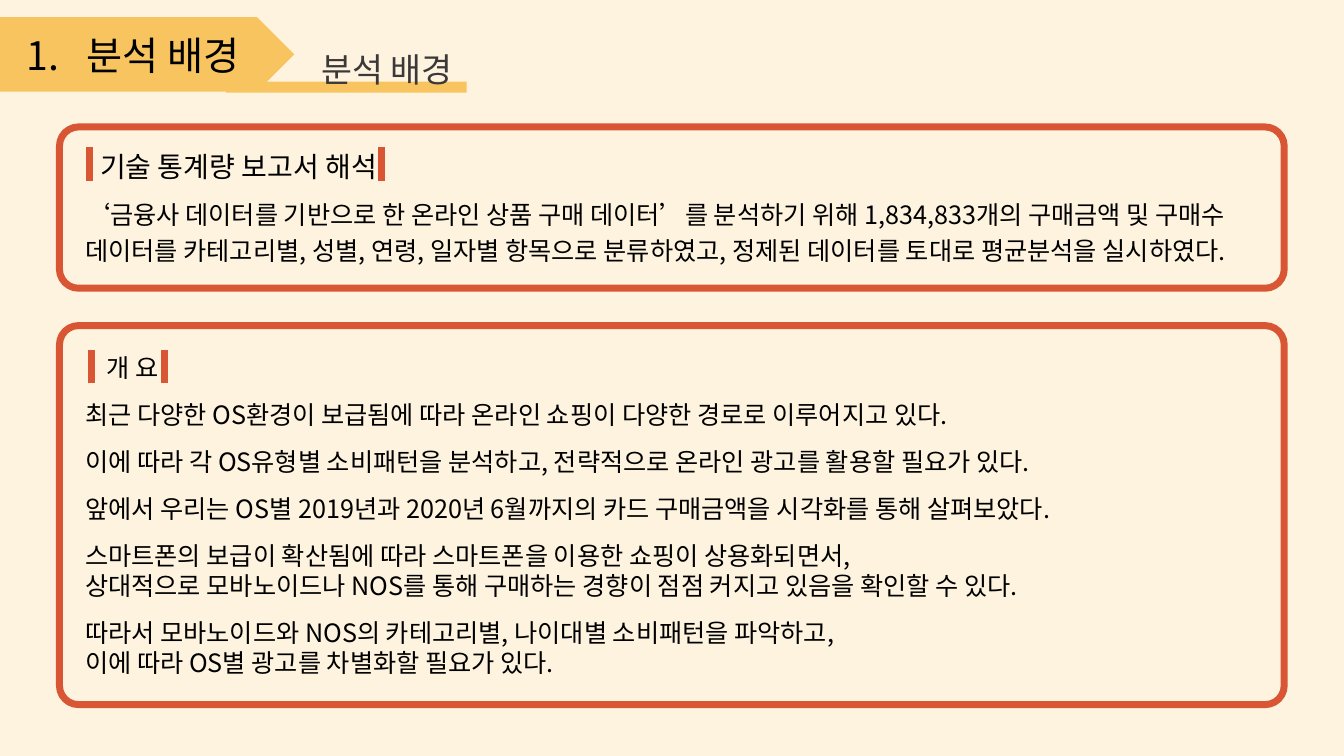
import pptx
import pptx.dml.color
import pptx.enum.shapes
import pptx.enum.text
import pptx.oxml.ns
import pptx.util
from lxml import etree

Pt = pptx.util.Pt
SHAPES = pptx.enum.shapes.MSO_SHAPE
ANCHORS = pptx.enum.text.MSO_ANCHOR
FONT = "Noto Sans CJK KR"
CREAM, YELLOW, RED, BLACK, GRAY = "FDF3DF", "F7C45F", "D85633", "000000", "3B3838"
FRAME_LINE = 5
FRAME_RADIUS = 13.6
TICK_HEIGHT = 24


def color(code):
    return pptx.dml.color.RGBColor.from_string(code)


def apply(target, values):
    for name, value in values.items():
        setattr(target, name, value)


def add_box(page, kind, left, top, width, height, fill=None, line=None):
    box = page.shapes.add_shape(kind, Pt(left), Pt(top), Pt(width), Pt(height))
    box.shadow.inherit = False
    if fill:
        box.fill.solid()
        box.fill.fore_color.rgb = color(fill)
    else:
        box.fill.background()
    if line:
        box.line.color.rgb = color(line)
        box.line.width = Pt(FRAME_LINE)
    else:
        box.line.fill.background()
    return box


def add_tick(page, x, top):
    tick = page.shapes.add_connector(
        pptx.enum.shapes.MSO_CONNECTOR.STRAIGHT, Pt(x), Pt(top + TICK_HEIGHT), Pt(x), Pt(top))
    tick.line.color.rgb = color(RED)
    tick.line.width = Pt(FRAME_LINE)
    etree.SubElement(tick._element.spPr, pptx.oxml.ns.qn("a:effectLst"))


def write(box, lines, ink=BLACK, anchor=ANCHORS.MIDDLE, side=7.2):
    """Each line is (text, size, space before, left margin, first-line indent)."""
    frame = box.text_frame
    apply(frame, {"word_wrap": True, "vertical_anchor": anchor,
                  "margin_left": Pt(side), "margin_right": Pt(side),
                  "margin_top": Pt(3.6), "margin_bottom": Pt(3.6)})
    for index, (text, size, gap, margin, indent) in enumerate(lines):
        para = frame.add_paragraph() if index else frame.paragraphs[0]
        apply(para, {"alignment": pptx.enum.text.PP_ALIGN.LEFT, "space_before": Pt(gap)})
        properties = para._p.get_or_add_pPr()
        properties.set("marL", str(Pt(margin)))
        properties.set("indent", str(Pt(indent)))
        span = para.add_run()
        span.text = text
        apply(span.font, {"size": Pt(size), "name": FONT})
        span.font.color.rgb = color(ink)
        east_asian = etree.SubElement(span._r.get_or_add_rPr(), pptx.oxml.ns.qn("a:ea"))
        east_asian.set("typeface", FONT)


def add_header(page, left, top, width, height):
    # Underline, section arrow and page title
    add_box(page, SHAPES.RECTANGLE, left + 161.3, top + 46.1, 172.1, 7.9, fill=YELLOW)
    arrow = add_box(page, SHAPES.PENTAGON, left, top, width, height, fill=YELLOW)
    write(arrow, [("1.\t분석 배경", 28, 0, 55, -43)])
    title = page.shapes.add_textbox(Pt(left + 222.5), Pt(top + 19.5), Pt(118), Pt(36))
    write(title, [("분석 배경", 24, 0, 0, 0)], ink=GRAY, anchor=ANCHORS.TOP)


def add_panel(page, left, top, width, height, heading, body, ticks, tick_top):
    # Outlined frame with its text
    frame = add_box(page, SHAPES.ROUNDED_RECTANGLE, left, top, width, height, line=RED)
    frame.adjustments[0] = FRAME_RADIUS / height
    text, size, indent = heading
    lines = [(text, size, 0, indent, 0)]
    lines += [(text, 18, gap, 0, 0) for text, gap in body]
    write(frame, lines, side=14.4)
    # Ticks on either side of the heading
    for x in ticks:
        add_tick(page, left + x, top + tick_top)


REPORT = [
    ("‘금융사 데이터를 기반으로 한 온라인 상품 구매 데이터’를 분석하기 위해 "
     "1,834,833개의 구매금액 및 구매수", 12),
    ("데이터를 카테고리별, 성별, 연령, 일자별 항목으로 분류하였고, "
     "정제된 데이터를 토대로 평균분석을 실시하였다.", 4),
]
OVERVIEW = [
    ("최근 다양한 OS환경이 보급됨에 따라 온라인 쇼핑이 다양한 경로로 이루어지고 있다.", 12),
    ("이에 따라 각 OS유형별 소비패턴을 분석하고, 전략적으로 온라인 광고를 활용할 필요가 있다.", 12),
    ("앞에서 우리는 OS별 2019년과 2020년 6월까지의 카드 구매금액을 시각화를 통해 살펴보았다.", 12),
    ("스마트폰의 보급이 확산됨에 따라 스마트폰을 이용한 쇼핑이 상용화되면서,", 12),
    ("상대적으로 모바노이드나 NOS를 통해 구매하는 경향이 점점 커지고 있음을 확인할 수 있다.", 0),
    ("따라서 모바노이드와 NOS의 카테고리별, 나이대별 소비패턴을 파악하고,", 12),
    ("이에 따라 OS별 광고를 차별화할 필요가 있다.", 0),
]

deck = pptx.Presentation()
apply(deck, {"slide_width": Pt(960), "slide_height": Pt(540)})
page = deck.slides.add_slide(deck.slide_layouts[6])
page.background.fill.solid()
page.background.fill.fore_color.rgb = color(CREAM)

add_header(page, 0, 12.2, 210.2, 53.3)
add_panel(page, 42.5, 90.7, 874.8, 115.2, ("기술 통계량 보고서 해석", 20, 10.7),
          REPORT, ticks=(21.6, 229.7), tick_top=14.6)
add_panel(page, 42.5, 232.6, 874.8, 270.7, ("개 요", 18, 15),
          OVERVIEW, ticks=(23, 74.9), tick_top=17.2)

deck.save("out.pptx")
